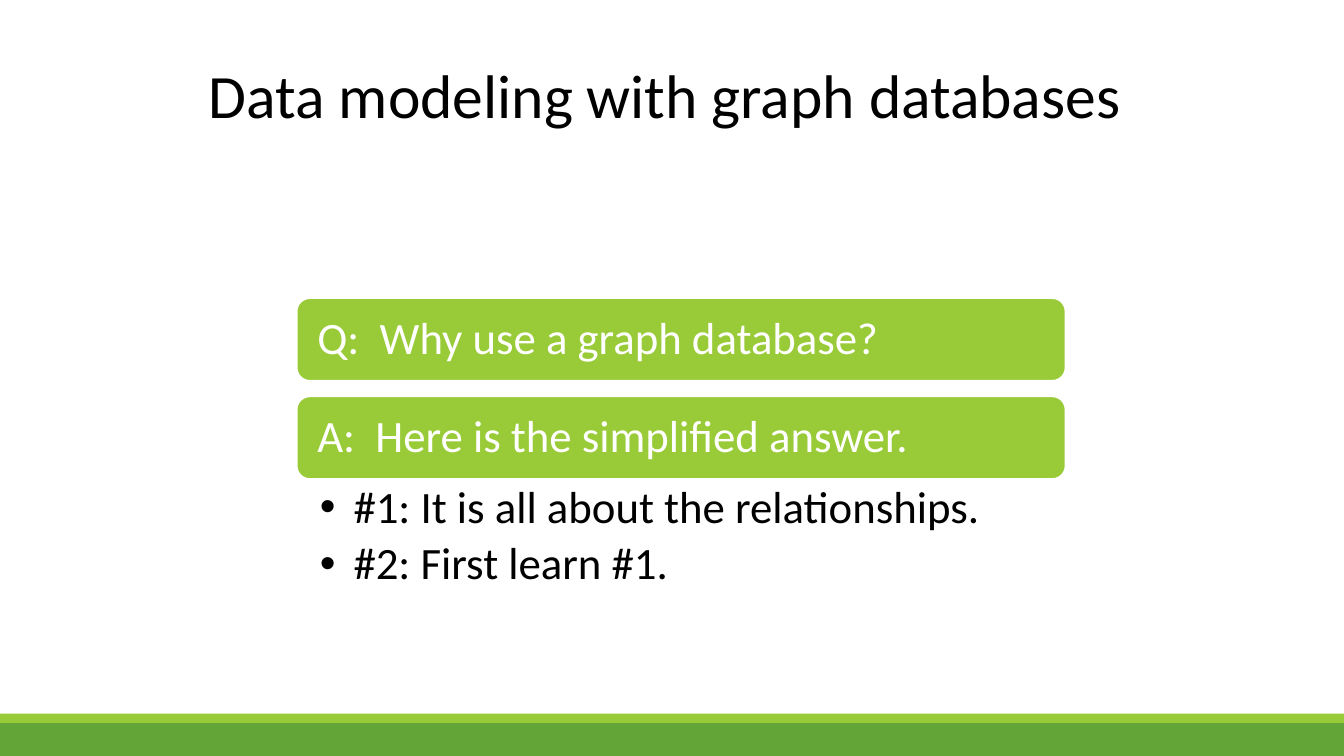
from dataclasses import dataclass

from lxml.etree import SubElement
from pptx import Presentation
from pptx.dml.color import RGBColor
from pptx.enum.shapes import MSO_SHAPE
from pptx.enum.text import MSO_ANCHOR, PP_ALIGN
from pptx.oxml.ns import qn
from pptx.util import Pt


@dataclass(frozen=True)
class Theme:
    font: str = "Calibri"
    title_size: int = 33
    body_size: int = 24
    dark_green: RGBColor = RGBColor(0x63, 0xA5, 0x37)
    lime: RGBColor = RGBColor(0x99, 0xCB, 0x38)
    white: RGBColor = RGBColor(0xFF, 0xFF, 0xFF)
    black: RGBColor = RGBColor(0x00, 0x00, 0x00)


def add_panel(kind, left, top, width, height, color):
    panel = slide.shapes.add_shape(kind, Pt(left), Pt(top), Pt(width), Pt(height))
    panel.shadow.inherit = False
    panel.fill.solid()
    panel.fill.fore_color.rgb = color
    panel.line.fill.background()
    return panel


def write(paragraph, text, size, color, **formats):
    paragraph.text = text
    for name, value in formats.items():
        setattr(paragraph, name, value)
    font = paragraph.font
    font.name = theme.font
    font.size = Pt(size)
    font.color.rgb = color


theme = Theme()
presentation = Presentation()
presentation.slide_width = Pt(720)
presentation.slide_height = Pt(405)
slide = presentation.slides.add_slide(presentation.slide_layouts[6])

# Footer bands
add_panel(MSO_SHAPE.RECTANGLE, 0, 386.5, 720, 18.5, theme.dark_green)
add_panel(MSO_SHAPE.RECTANGLE, 0, 382.3, 720, 5, theme.lime)

# Title
title = slide.shapes.add_textbox(Pt(36), Pt(16.5), Pt(648), Pt(68))
title.text_frame.word_wrap = True
title.text_frame.vertical_anchor = MSO_ANCHOR.MIDDLE
write(title.text_frame.paragraphs[0], "Data modeling with graph databases ",
      theme.title_size, theme.black, alignment=PP_ALIGN.CENTER)

# Question and answer bars
left, top, width, height, pitch = 158.4, 159.2, 413, 45.4, 52.6
for index, text in enumerate(["Q:  Why use a graph database?",
                              "A:  Here is the simplified answer."]):
    bar = add_panel(MSO_SHAPE.ROUNDED_RECTANGLE, left, top + index * pitch,
                    width, height, theme.lime)
    bar.line.color.rgb = theme.white
    bar.line.width = Pt(2)
    frame = bar.text_frame
    frame.word_wrap = True
    frame.vertical_anchor = MSO_ANCHOR.MIDDLE
    frame.margin_left = frame.margin_right = Pt(9.4)
    write(frame.paragraphs[0], text, theme.body_size, theme.white,
          alignment=PP_ALIGN.LEFT, line_spacing=0.9)

# Bulleted details under the answer
details = slide.shapes.add_textbox(Pt(left), Pt(257.6), Pt(width), Pt(64))
frame = details.text_frame
frame.word_wrap = True
for name, value in {"margin_left": 13, "margin_right": 13.5,
                    "margin_top": 2.2, "margin_bottom": 2.2}.items():
    setattr(frame, name, Pt(value))
for index, text in enumerate(["#1: It is all about the relationships.",
                              "#2: First learn #1."]):
    paragraph = frame.add_paragraph() if index else frame.paragraphs[0]
    properties = paragraph._p.get_or_add_pPr()
    properties.set("marL", str(Pt(18)))
    properties.set("indent", str(-Pt(18)))
    SubElement(properties, qn("a:buFont"), typeface="Arial")
    SubElement(properties, qn("a:buChar"), char="•")
    write(paragraph, text, theme.body_size, theme.black,
          level=1, line_spacing=0.9, space_after=Pt(4.2))

presentation.save("out.pptx")
